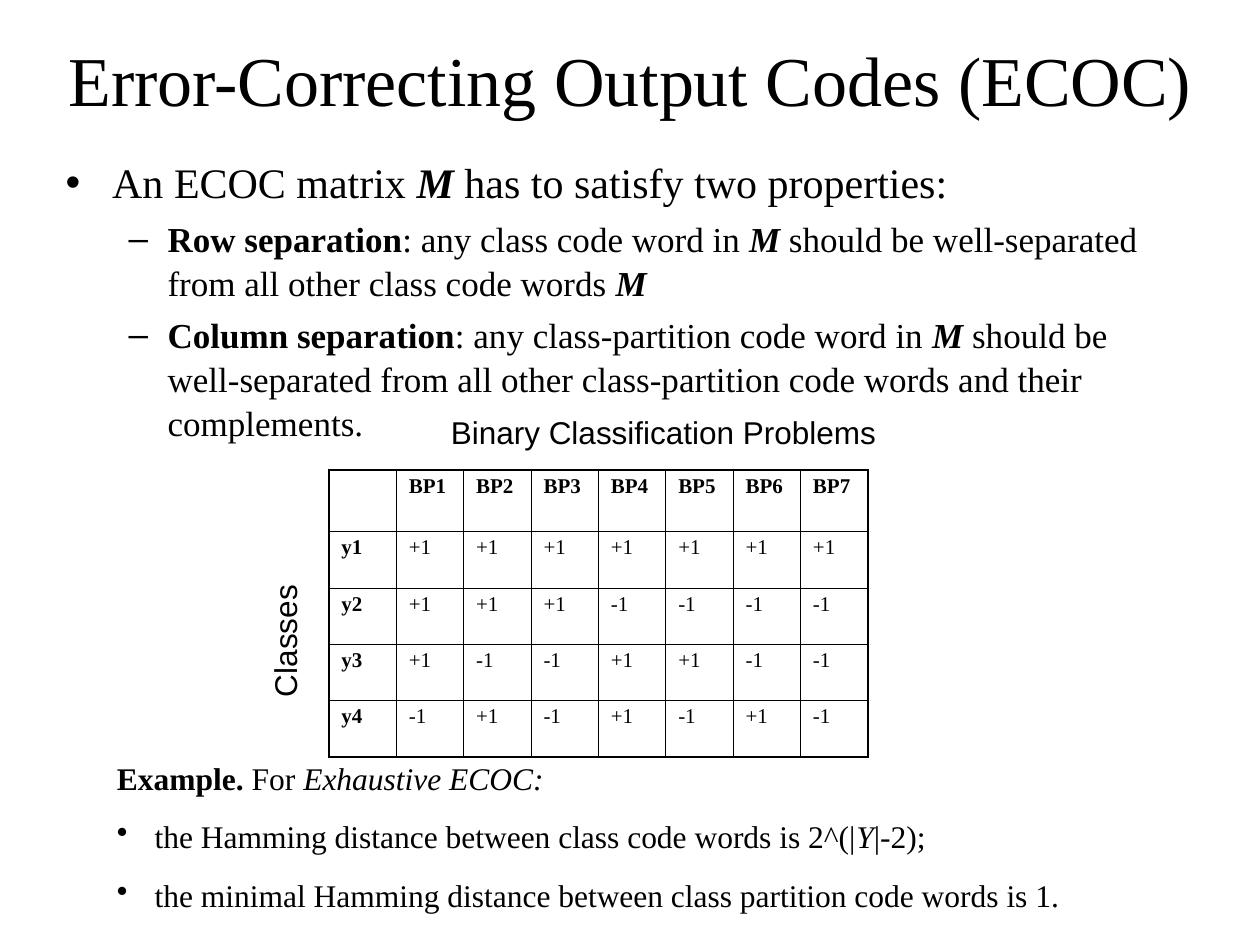
import lxml.etree
import pptx
import pptx.dml.color
import pptx.enum.text
import pptx.oxml.ns
import pptx.util

Inches = pptx.util.Inches
Pt = pptx.util.Pt
BLACK = pptx.dml.color.RGBColor(0, 0, 0)
SERIF = "Times New Roman"
SANS = "Arial"
PLAIN, BOLD, ITALIC, BOTH = (False, False), (True, False), (False, True), (True, True)
THIN, THICK = 0.45, 1.08

PROPERTIES = [
    (0, "•", [("An ECOC matrix ", PLAIN), ("M", BOTH),
              (" has to satisfy two properties:", PLAIN)]),
    (1, "–", [("Row separation", BOLD), (": any class code word in ", PLAIN), ("M", BOTH),
              (" should be well-separated from all other class code words ", PLAIN),
              ("M", BOTH)]),
    (1, "–", [("Column separation", BOLD), (": any class-partition code word in ", PLAIN),
              ("M", BOTH),
              (" should be well-separated from all other class-partition code words "
               "and their complements.", PLAIN)]),
]
LEVELS = [(24, 6, 0.37, 0.37), (20, 5, 0.81, 0.31)]

EXAMPLE = [
    (None, [("Example.", BOLD), (" For ", PLAIN), ("Exhaustive ECOC:", ITALIC)]),
    ("•", [("the Hamming distance between class code words is 2^(|", PLAIN),
           ("Y", ITALIC), ("|-2);", PLAIN)]),
    ("•", [("the minimal Hamming distance between class partition code words is 1.", PLAIN)]),
]

CODE_MATRIX = [
    ["", "BP1", "BP2", "BP3", "BP4", "BP5", "BP6", "BP7"],
    ["y1", "+1", "+1", "+1", "+1", "+1", "+1", "+1"],
    ["y2", "+1", "+1", "+1", "-1", "-1", "-1", "-1"],
    ["y3", "+1", "-1", "-1", "+1", "+1", "-1", "-1"],
    ["y4", "-1", "+1", "-1", "+1", "-1", "+1", "-1"],
]


def add_element(parent, tag, **attributes):
    return lxml.etree.SubElement(parent, pptx.oxml.ns.qn(tag), attributes)


def add_runs(paragraph, runs, size, font_name=SERIF):
    for text, (bold, italic) in runs:
        run = paragraph.add_run()
        run.text = text
        run.font.name = font_name
        run.font.size = Pt(size)
        run.font.bold = bold
        run.font.italic = italic
        run.font.color.rgb = BLACK


def set_bullet(paragraph, character, margin, hanging):
    properties = paragraph._p.get_or_add_pPr()
    properties.set("marL", str(Inches(margin)))
    properties.set("indent", str(-Inches(hanging)))
    color = add_element(properties, "a:buClr")
    add_element(color, "a:srgbClr", val=str(BLACK))
    add_element(properties, "a:buChar", char=character)


def get_paragraph(frame, index):
    return frame.add_paragraph() if index else frame.paragraphs[0]


def place(shape, box):
    shape.left, shape.top, shape.width, shape.height = [Inches(length) for length in box]
    shape.text_frame.word_wrap = True
    shape.text_frame.auto_size = pptx.enum.text.MSO_AUTO_SIZE.NONE


def fill_title(slide, box):
    title = slide.shapes.title
    place(title, box)
    title.text_frame.vertical_anchor = pptx.enum.text.MSO_ANCHOR.MIDDLE
    paragraph = title.text_frame.paragraphs[0]
    paragraph.alignment = pptx.enum.text.PP_ALIGN.CENTER
    add_runs(paragraph, [("Error-Correcting Output Codes (ECOC)", PLAIN)], 40)


def fill_properties(slide, box):
    body = slide.placeholders[1]
    place(body, box)
    for index, (level, bullet, runs) in enumerate(PROPERTIES):
        size, space_before, margin, hanging = LEVELS[level]
        paragraph = get_paragraph(body.text_frame, index)
        paragraph.level = level
        paragraph.line_spacing = 1.04
        paragraph.space_before = Pt(space_before if index else 0)
        set_bullet(paragraph, bullet, margin, hanging)
        add_runs(paragraph, runs, size)


def add_example(slide, box):
    example = slide.shapes.add_textbox(0, 0, 0, 0)
    place(example, box)
    for index, (bullet, runs) in enumerate(EXAMPLE):
        paragraph = get_paragraph(example.text_frame, index)
        paragraph.line_spacing = 1.04
        if index:
            paragraph.space_before = Pt(11.2)
        if bullet:
            set_bullet(paragraph, bullet, 0.3, 0.3)
        add_runs(paragraph, runs, 18)


def set_borders(cell, widths):
    properties = cell._tc.get_or_add_tcPr()
    for tag, width in zip(("a:lnL", "a:lnR", "a:lnT", "a:lnB"), widths):
        line = add_element(properties, tag, w=str(Pt(width)))
        fill = add_element(line, "a:solidFill")
        add_element(fill, "a:srgbClr", val=str(BLACK))


def add_code_matrix(slide, box, header_height):
    left, top, width, height = box
    row_count, column_count = len(CODE_MATRIX), len(CODE_MATRIX[0])
    table = slide.shapes.add_table(row_count, column_count, Inches(left), Inches(top),
                                   Inches(width), Inches(height)).table
    table.first_row = table.horz_banding = False
    for column in table.columns:
        column.width = Inches(width / column_count)
    for index, row in enumerate(table.rows):
        row_height = (height - header_height) / (row_count - 1) if index else header_height
        row.height = Inches(row_height)
    for row_index, values in enumerate(CODE_MATRIX):
        for column_index, value in enumerate(values):
            cell = table.cell(row_index, column_index)
            edges = (column_index == 0, column_index == column_count - 1,
                     row_index == 0, row_index == row_count - 1)
            set_borders(cell, [THICK if edge else THIN for edge in edges])
            cell.fill.background()
            if value:
                paragraph = cell.text_frame.paragraphs[0]
                paragraph.line_spacing = 0.9
                is_header = row_index == 0 or column_index == 0
                add_runs(paragraph, [(value, BOLD if is_header else PLAIN)], 12)


def add_label(slide, box, text, rotation=0):
    label = slide.shapes.add_textbox(0, 0, 0, 0)
    place(label, box)
    label.rotation = rotation
    add_runs(label.text_frame.paragraphs[0], [(text, PLAIN)], 18, SANS)


def main():
    presentation = pptx.Presentation()
    presentation.slide_width = Inches(10)
    presentation.slide_height = Inches(7.5)
    slide = presentation.slides.add_slide(presentation.slide_layouts[1])
    fill_title(slide, (0, 0, 10, 1.25))
    fill_properties(slide, (0.42, 1.18, 8.92, 4.95))
    add_example(slide, (0.83, 5.96, 8.5, 1.77))
    add_code_matrix(slide, (2.61, 3.73, 4.28, 2.28), 0.49)
    add_label(slide, (3.48, 3.23, 3.83, 0.4), "Binary Classification Problems")
    add_label(slide, (1.22, 4.39, 2.08, 0.4), "Classes", 270)
    presentation.save("out.pptx")


if __name__ == "__main__":
    main()
